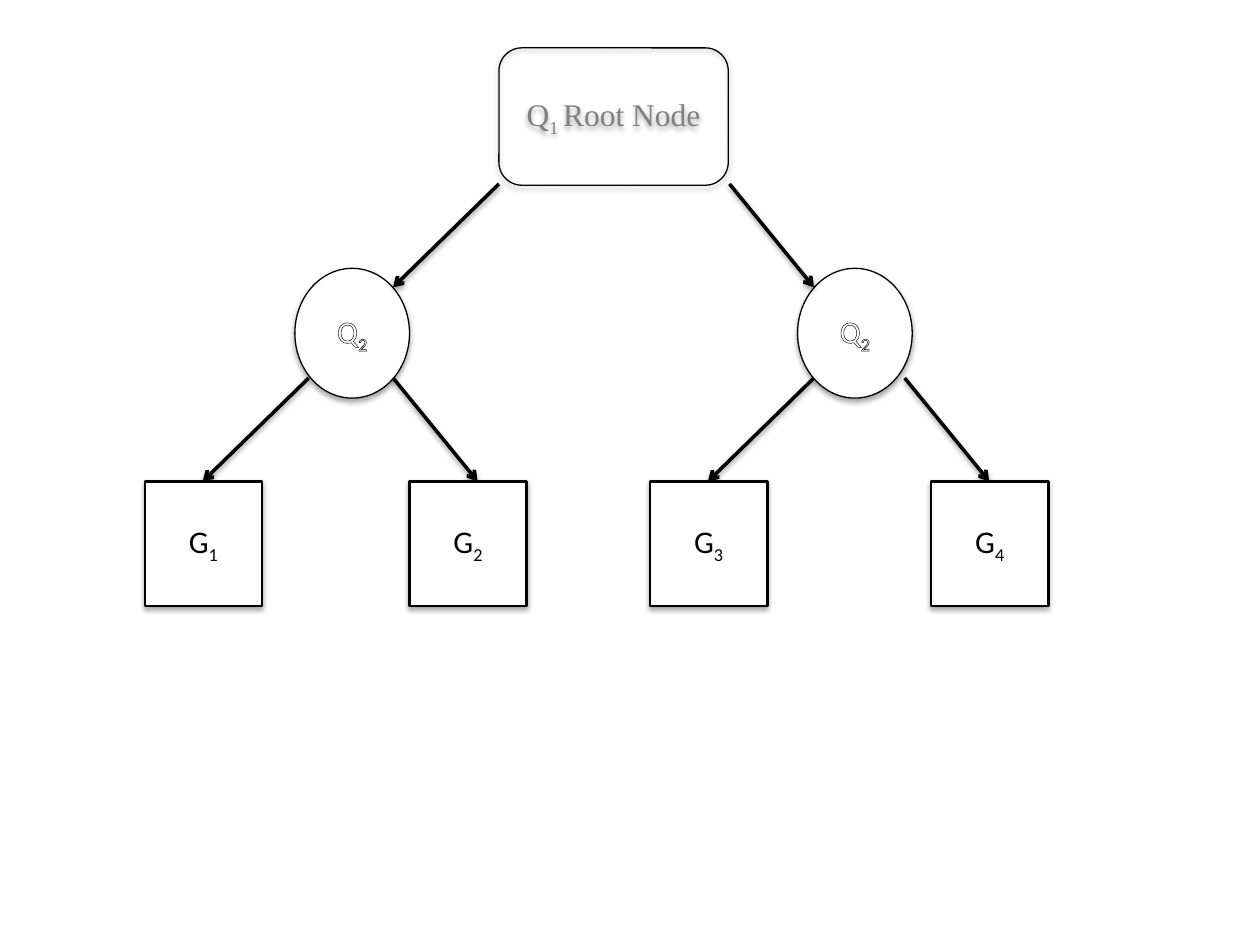
from lxml import etree
from pptx import Presentation
from pptx.dml.color import RGBColor
from pptx.enum.shapes import MSO_CONNECTOR, MSO_SHAPE
from pptx.enum.text import MSO_ANCHOR, PP_ALIGN
from pptx.oxml.ns import qn
from pptx.util import Inches, Pt

ROUNDED = MSO_SHAPE.ROUNDED_RECTANGLE
OVAL = MSO_SHAPE.OVAL
RECT = MSO_SHAPE.RECTANGLE
STRAIGHT = MSO_CONNECTOR.STRAIGHT
MIDDLE = MSO_ANCHOR.MIDDLE
CENTER = PP_ALIGN.CENTER
BLACK = RGBColor(0, 0, 0)
WHITE = RGBColor(255, 255, 255)
GRAY = RGBColor(128, 128, 128)


class TreeSlide:
    size = Pt(18)

    def __init__(self, prs):
        self.shapes = prs.slides.add_slide(prs.slide_layouts[6]).shapes

    def shadow(self, s, distance, alpha):
        effects = etree.SubElement(s._element.spPr, qn("a:effectLst"))
        outer = etree.SubElement(effects, qn("a:outerShdw"), blurRad=str(Pt(3.1)),
                                 dist=str(Pt(distance)), dir="5400000", rotWithShape="0")
        color = etree.SubElement(outer, qn("a:srgbClr"), val=str(BLACK))
        etree.SubElement(color, qn("a:alpha"), val=str(alpha * 1000))

    def outline(self, r, width):
        ln = etree.Element(qn("a:ln"), w=str(Pt(width)))
        fill = etree.SubElement(ln, qn("a:solidFill"))
        etree.SubElement(fill, qn("a:srgbClr"), val=str(BLACK))
        r._r.get_or_add_rPr().insert(0, ln)

    def node(self, kind, box, runs, color, fill=WHITE, line=0.75,
             font="Calibri", text_line=1.5):
        s = self.shapes.add_shape(kind, *map(Inches, box))
        if fill is None:
            s.fill.background()
        else:
            s.fill.solid()
            s.fill.fore_color.rgb = fill
        s.line.color.rgb = BLACK
        s.line.width = Pt(line)
        self.shadow(s, 1.8, 35)
        tf = s.text_frame
        tf.vertical_anchor = MIDDLE
        p = tf.paragraphs[0]
        p.alignment = CENTER
        p.font.name = font
        p.font.size = self.size
        p.font.color.rgb = color
        for i, text in enumerate(runs):
            r = p.add_run()
            r.text = text
            self.outline(r, text_line)
            if i == 1:
                r._r.get_or_add_rPr().set("baseline", "-25000")

    def arrow(self, x, y, dx, dy=0.82):
        s = self.shapes.add_connector(STRAIGHT, *map(Inches, (x, y, x + dx, y + dy)))
        s.line.color.rgb = BLACK
        s.line.width = Pt(2)
        etree.SubElement(s.line._get_or_add_ln(), qn("a:tailEnd"), type="arrow")
        self.shadow(s, 1.6, 38)


prs = Presentation()
prs.slide_width = Inches(10)
prs.slide_height = Inches(7.5)
tree = TreeSlide(prs)

tree.node(ROUNDED, (3.96, 0.38, 1.82, 1.09), ("Q", "1 ", "Root Node"), GRAY,
          fill=None, font="Times New Roman")

for x in (2.34, 6.33):
    tree.node(OVAL, (x, 2.13, 0.91, 1.03), ("Q", "2"), WHITE)

LEFT_DX, RIGHT_DX = -0.84, 0.67
for y, left_starts, right_starts in ((1.46, (3.96,), (5.79,)),
                                     (3, (2.45, 6.46), (3.12, 7.18))):
    for x in left_starts:
        tree.arrow(x, y, LEFT_DX)
    for x in right_starts:
        tree.arrow(x, y, RIGHT_DX)

for number, x in enumerate((1.15, 3.25, 5.16, 7.39), 1):
    tree.node(RECT, (x, 3.82, 0.93, 0.99), ("G", str(number)), BLACK,
              line=1.5, text_line=0.75)

prs.save("out.pptx")
